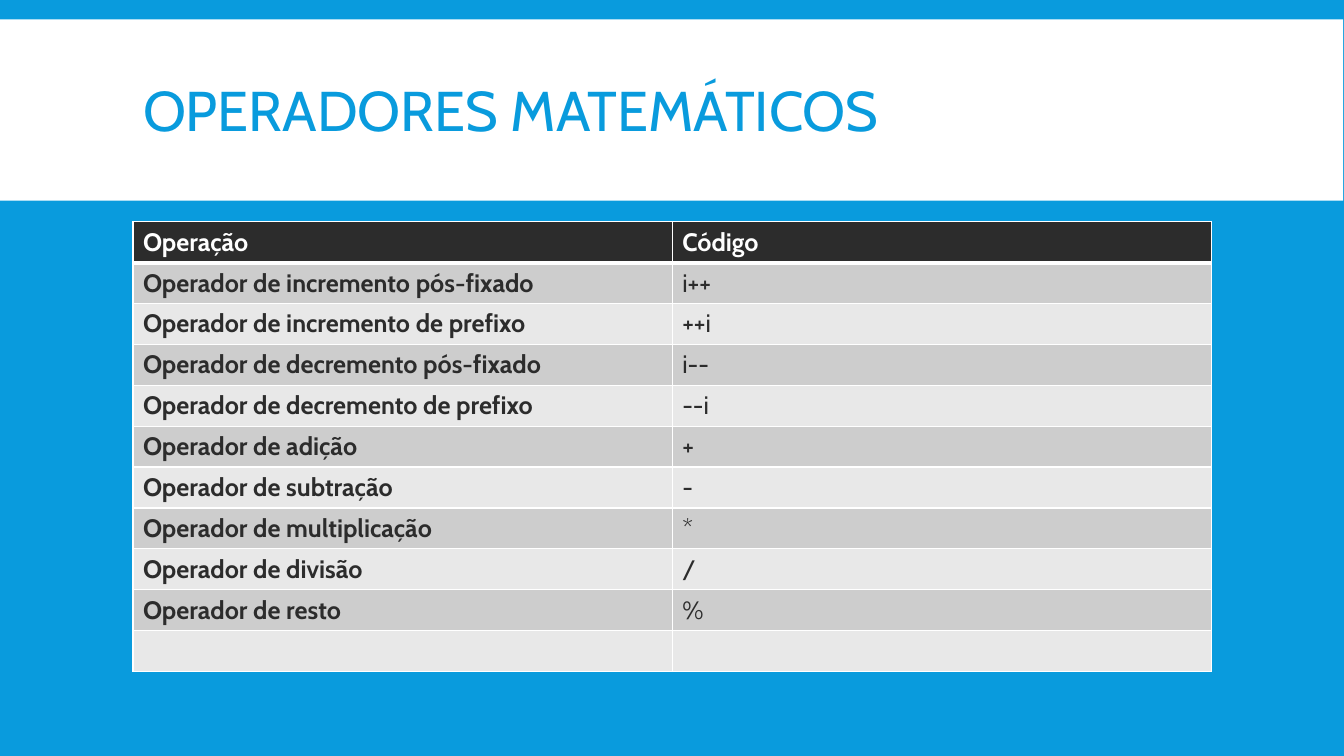
from lxml.etree import SubElement
from pptx import Presentation
from pptx.dml.color import RGBColor
from pptx.enum.shapes import MSO_SHAPE
from pptx.enum.text import MSO_ANCHOR, MSO_AUTO_SIZE, PP_ALIGN
from pptx.oxml import parse_xml
from pptx.oxml.ns import nsdecls, qn
from pptx.util import Cm, Pt

BLUE, WHITE, DARK = "099BDD", "FFFFFF", "2C2C2C"
BAND_FILLS = ("CDCDCD", "E8E8E8")
OPERATORS = [
    ("Operação", "Código"),
    ("Operador de incremento pós-fixado", "i++"),
    ("Operador de incremento de prefixo", "++i"),
    ("Operador de decremento pós-fixado", "i--"),
    ("Operador de decremento de prefixo", "--i"),
    ("Operador de adição", "+"),
    ("Operador de subtração", "-"),
    ("Operador de multiplicação", "*"),
    ("Operador de divisão", "/"),
    ("Operador de resto", "%"),
    ("", ""),
]


def color(hex_string):
    return RGBColor.from_string(hex_string)


class SlideBuilder:
    def __init__(self, presentation, font_name):
        self.font_name = font_name
        self.slide = presentation.slides.add_slide(presentation.slide_layouts[5])

    def background(self, fill):
        self.slide.background.fill.solid()
        self.slide.background.fill.fore_color.rgb = color(fill)

    def style(self, paragraph, size, text_color, bold=False):
        font = paragraph.font
        font.name, font.size, font.bold = self.font_name, Pt(size), bold
        font.color.rgb = color(text_color)

    def title(self, text, left, top, width, height):
        shape = self.slide.shapes.title
        shape.left, shape.top = Cm(left), Cm(top)
        shape.width, shape.height = Cm(width), Cm(height)
        frame = shape.text_frame
        frame.text = text
        frame.word_wrap = True
        frame.auto_size = MSO_AUTO_SIZE.NONE
        frame.vertical_anchor = MSO_ANCHOR.MIDDLE
        paragraph = frame.paragraphs[0]
        paragraph.alignment = PP_ALIGN.LEFT
        paragraph.line_spacing = 0.85
        self.style(paragraph, 40, BLUE)

    def title_band(self, left, top, width, height):
        """Add a white band behind the title."""
        shape = self.slide.shapes.add_shape(
            MSO_SHAPE.RECTANGLE, Cm(left), Cm(top), Cm(width), Cm(height))
        shape.shadow.inherit = False
        shape.fill.solid()
        shape.fill.fore_color.rgb = color(WHITE)
        shape.line.fill.background()
        self.slide.shapes.title.element.addprevious(shape.element)

    def borders(self, cell, top, bottom):
        """Draw white cell borders; top and bottom are widths in points."""
        properties = cell._tc.get_or_add_tcPr()
        widths = (("lnL", 1), ("lnR", 1), ("lnT", top), ("lnB", bottom))
        for position, (tag, width) in enumerate(widths):
            line = parse_xml(f'<a:{tag} {nsdecls("a")} w="{Pt(width)}"/>')
            fill = SubElement(line, qn("a:solidFill"))
            SubElement(fill, qn("a:srgbClr"), val=WHITE)
            properties.insert(position, line)

    def table(self, rows, left, top, width, row_height):
        table = self.slide.shapes.add_table(
            len(rows), len(rows[0]), Cm(left), Cm(top),
            Cm(width), Cm(row_height * len(rows))).table
        for row_index, texts in enumerate(rows):
            header = row_index == 0
            table.rows[row_index].height = Cm(row_height)
            for column_index, text in enumerate(texts):
                cell = table.cell(row_index, column_index)
                cell.text = text
                cell.fill.solid()
                cell.fill.fore_color.rgb = color(
                    DARK if header else BAND_FILLS[(row_index - 1) % 2])
                self.style(cell.text_frame.paragraphs[0], 18,
                           WHITE if header else DARK,
                           bold=header or column_index == 0)
                self.borders(cell, top=3 if row_index == 1 else 1,
                             bottom=3 if header else 1)


def main():
    presentation = Presentation()
    presentation.slide_width, presentation.slide_height = Cm(33.87), Cm(19.05)
    builder = SlideBuilder(presentation, "Cabin")
    builder.background(BLUE)
    builder.title_band(0, 0.49, 33.85, 4.57)
    builder.title("OPERADORES MATEMÁTICOS", 3.35, 0.78, 27.18, 4.19)
    builder.table(OPERATORS, 3.35, 5.59, 27.18, 1.03)
    presentation.save("out.pptx")


if __name__ == "__main__":
    main()
